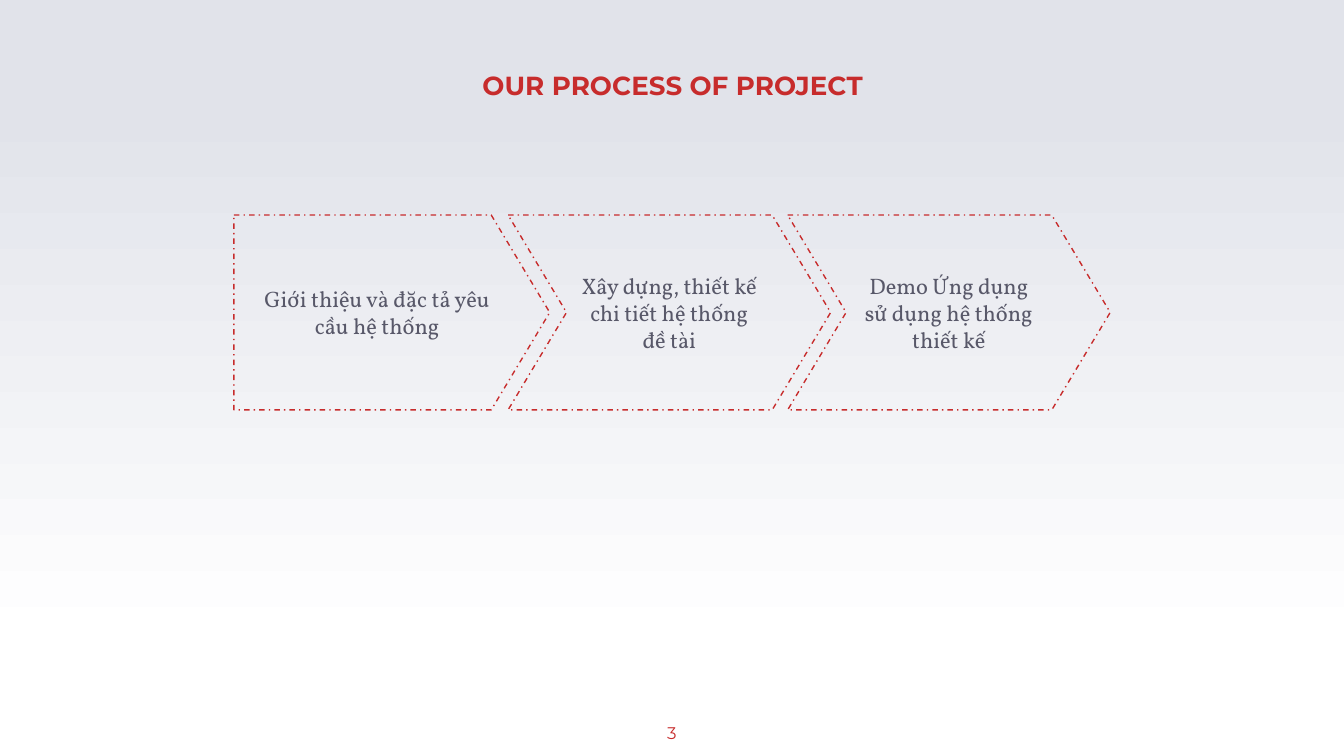
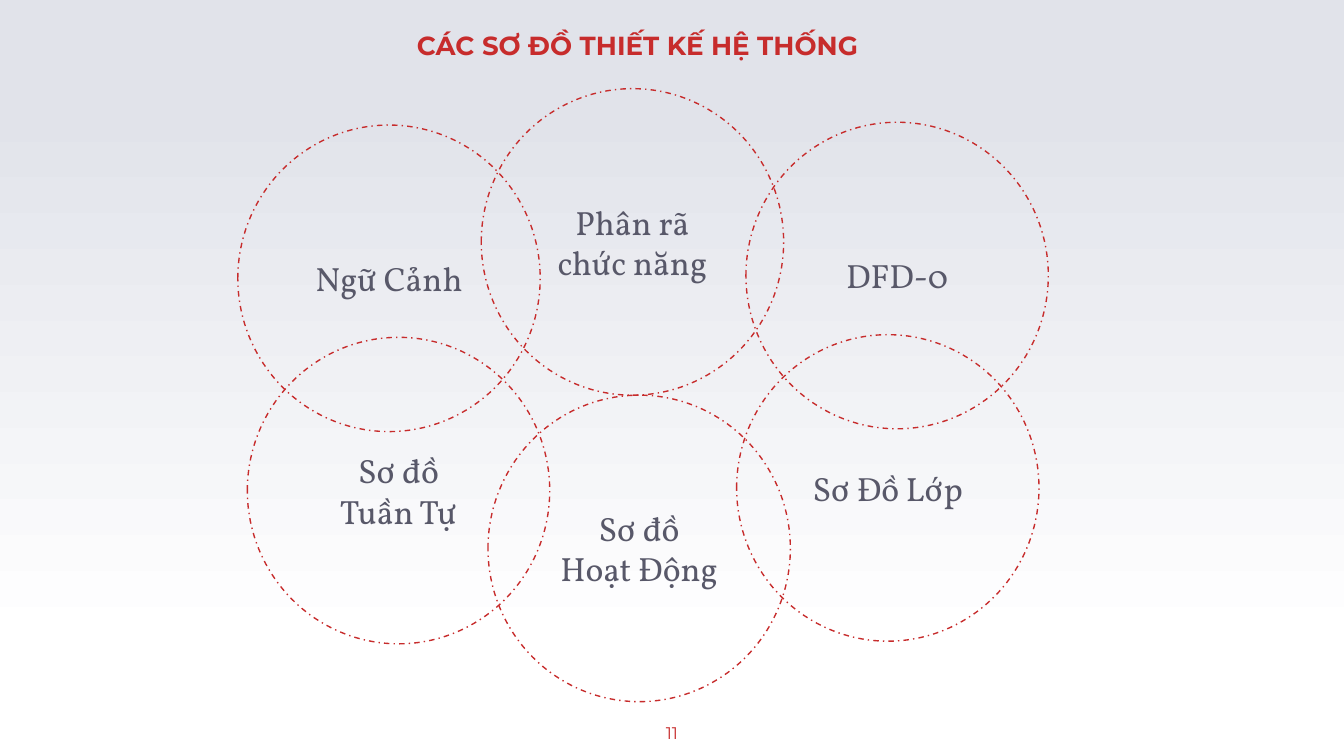
from copy import deepcopy

from pptx import Presentation
from pptx.dml.color import RGBColor
from pptx.enum.dml import MSO_LINE
from pptx.enum.shapes import MSO_SHAPE
from pptx.enum.text import MSO_ANCHOR, PP_ALIGN
from pptx.oxml.ns import qn
from pptx.util import Pt

RED = RGBColor(0xC7, 0x2C, 0x2C)
SLATE = RGBColor(0x58, 0x58, 0x69)
MIST = RGBColor(0xE1, 0xE3, 0xEA)
WHITE = RGBColor(0xFF, 0xFF, 0xFF)
BACKGROUND_STOPS = [(0, MIST), (0.14, MIST), (0.85, WHITE), (1, WHITE)]

HEADING_FONT = "Montserrat"
BODY_FONT = "Vollkorn"
INSET = 7.2


def write_text(shape, text, size, font_name, color, anchor=MSO_ANCHOR.MIDDLE, inset=INSET):
    text_frame = shape.text_frame
    text_frame.word_wrap = True
    text_frame.vertical_anchor = anchor
    text_frame.margin_left = text_frame.margin_right = Pt(inset)
    text_frame.margin_top = text_frame.margin_bottom = Pt(inset)
    text_frame.text = text
    for paragraph in text_frame.paragraphs:
        paragraph.alignment = PP_ALIGN.CENTER
        for run in paragraph.runs:
            run.font.size = Pt(size)
            run.font.name = font_name
            run.font.color.rgb = color


def add_outline(slide, kind, left, top, width, height, text, size):
    shape = slide.shapes.add_shape(kind, Pt(left), Pt(top), Pt(width), Pt(height))
    shape.shadow.inherit = False
    shape.fill.background()
    shape.line.color.rgb = RED
    shape.line.width = Pt(0.75)
    shape.line.dash_style = MSO_LINE.DASH_DOT
    write_text(shape, text, size, BODY_FONT, SLATE)
    return shape


presentation = Presentation()
presentation.slide_width = Pt(720)
presentation.slide_height = Pt(405)
blank_layout = presentation.slide_layouts[6]

# Shared frame: background, title and page number
slides = []
for title, title_left, title_top, page_number in [
    ("OUR PROCESS OF PROJECT", 146.2, 28.8, "3"),
    ("CÁC SƠ ĐỒ THIẾT KẾ HỆ THỐNG", 127.4, 7.2, "11"),
]:
    slide = presentation.slides.add_slide(blank_layout)
    slides.append(slide)

    fill = slide.background.fill
    fill.gradient()
    fill.gradient_angle = 270
    stop_list = next(slide.element.iter(qn("a:gsLst")))
    while len(stop_list) < len(BACKGROUND_STOPS):
        stop_list.append(deepcopy(stop_list[0]))
    for stop, (position, color) in zip(fill.gradient_stops, BACKGROUND_STOPS):
        stop.position = position
        stop.color.rgb = color

    title_box = slide.shapes.add_textbox(Pt(title_left), Pt(title_top), Pt(428.4), Pt(36))
    write_text(title_box, title, 14, HEADING_FONT, RED, inset=0)
    title_paragraph = title_box.text_frame.paragraphs[0]
    title_paragraph.line_spacing = 0.9
    title_paragraph.runs[0].font.bold = True

    number_box = slide.shapes.add_textbox(Pt(338.4), Pt(381.6), Pt(43.2), Pt(20.9))
    write_text(number_box, page_number, 9, HEADING_FONT, RED, anchor=MSO_ANCHOR.TOP)

process_slide, diagram_slide = slides

# Process steps
for kind, left, width, text in [
    (MSO_SHAPE.PENTAGON, 125.3, 169.2, "Giới thiệu và đặc tả yêu cầu hệ thống"),
    (MSO_SHAPE.CHEVRON, 272.2, 172.8, "Xây dựng, thiết kế chi tiết hệ thống đề tài"),
    (MSO_SHAPE.CHEVRON, 422, 172.8, "Demo Ứng dụng sử dụng hệ thống thiết kế"),
]:
    step = add_outline(process_slide, kind, left, 115.2, width, 104.4, text, 12)
    step.adjustments[0] = 0.3

# Overlapping circles, one for each design diagram
for left, top, text in [
    (257.8, 47.5, "Phân rã chức năng"),
    (394.6, 179.3, "Sơ Đồ Lớp"),
    (399.6, 65.5, "DFD-0"),
    (127.4, 67, "Ngữ Cảnh"),
    (132.5, 180.7, "Sơ đồ\nTuần Tự"),
    (261.4, 211.7, "Sơ đồ\nHoạt Động"),
]:
    add_outline(diagram_slide, MSO_SHAPE.OVAL, left, top, 162, 164.2, text, 18)

presentation.save("out.pptx")
